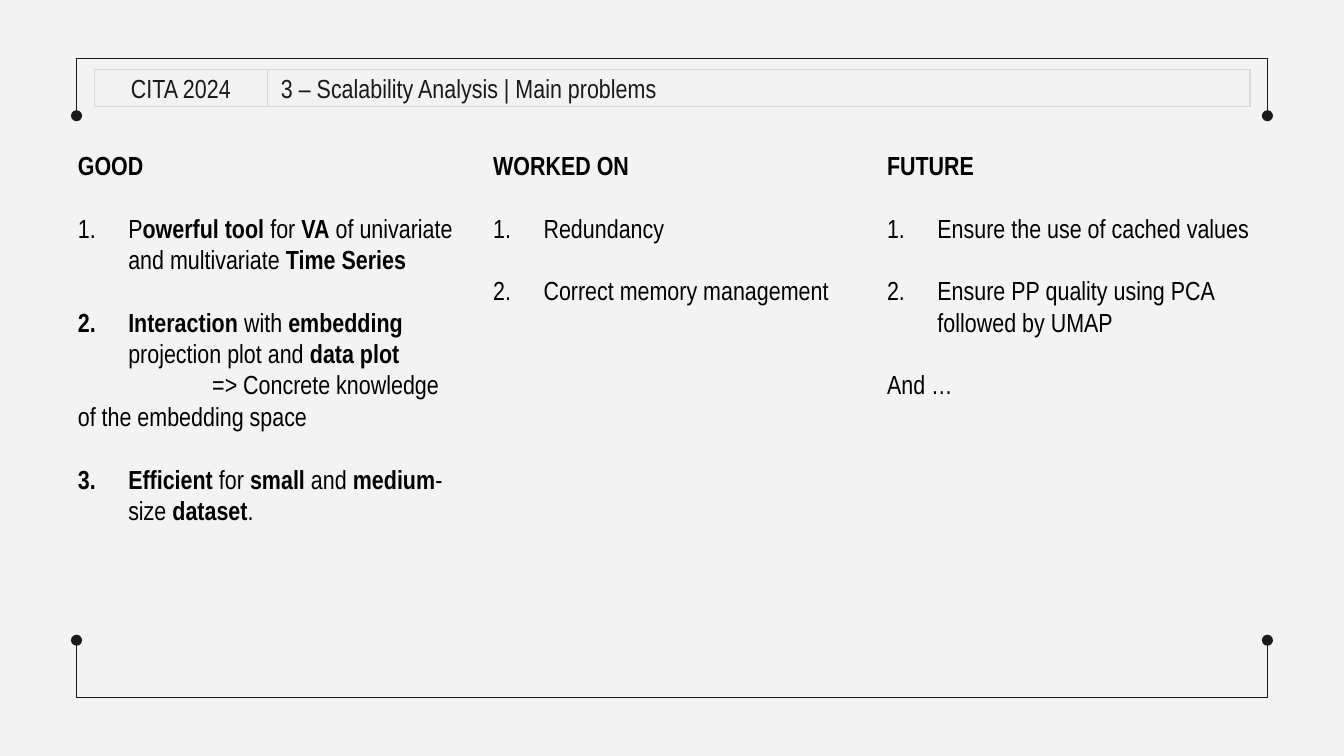
"""Build the scalability analysis slide with its three columns of problems."""
from lxml.etree import SubElement
from pptx import Presentation
from pptx.dml.color import RGBColor
from pptx.enum.shapes import MSO_CONNECTOR, MSO_SHAPE
from pptx.enum.text import MSO_ANCHOR, MSO_AUTO_SIZE, PP_ALIGN
from pptx.oxml.ns import qn
from pptx.util import Pt

COLORS = {"page": "F3F3F3", "box": "F2F2F2", "edge": "D9D9D9",
          "dark": "191919", "text": "000000"}
COLUMNS = [
    (34.5, 227, "GOOD", [
        ("1", "P*owerful tool* for *VA* of univariate and multivariate *Time Series*"),
        ("2", "*Interaction* with *embedding* projection plot and *data plot*"),
        ("indent", "=> Concrete knowledge\vof the embedding space"),
        ("3", "*Efficient* for *small* and *medium*-size *dataset*."),
    ]),
    (257, 92, "WORKED ON", [
        ("1", "Redundancy"),
        ("2", "Correct memory management"),
    ]),
    (468, 160, "FUTURE", [
        ("1", "Ensure the use of cached values"),
        ("2", "Ensure PP quality using PCA followed by UMAP"),
        ("plain", "And …"),
    ]),
]


class SlideBuilder:
    """Holds the style and the current slide."""

    font_name = "Arial Narrow"
    font_size = Pt(14)
    line_height = 16.8
    hanging = 27

    def __init__(self, page):
        self.page = page
        self.paint(page.background.fill, "page")

    def paint(self, fill, color):
        fill.solid()
        fill.fore_color.rgb = RGBColor.from_string(COLORS[color])

    def style(self, paragraph, color):
        for span in paragraph.runs:
            span.font.name = self.font_name
            span.font.size = self.font_size
            span.font.color.rgb = RGBColor.from_string(COLORS[color])

    def place(self, box, left, top, width, height):
        box.left, box.top, box.width, box.height = map(Pt, (left, top, width, height))

    def line(self, start, end, dot=False):
        connector = self.page.shapes.add_connector(
            MSO_CONNECTOR.STRAIGHT, *map(Pt, (*start, *end)))
        connector.line.width = Pt(0.75)
        self.paint(connector.line.fill, "dark")
        if dot:
            SubElement(connector.line._get_or_add_ln(), qn("a:tailEnd"), type="oval")
        SubElement(connector._element.spPr, qn("a:effectLst"))

    def bracket(self, left, right, edge, tip):
        self.line((left, edge), (right, edge))
        for side in (left, right):
            self.line((side, edge), (side, tip), dot=True)

    def header_cell(self, box, text, align):
        self.paint(box.fill, "box")
        self.paint(box.line.fill, "edge")
        box.line.width = Pt(0.75)
        frame = box.text_frame
        frame.text = text
        frame.word_wrap = True
        frame.auto_size = MSO_AUTO_SIZE.NONE
        frame.vertical_anchor = MSO_ANCHOR.MIDDLE
        frame.margin_top = frame.margin_bottom = 0
        frame.paragraphs[0].alignment = align
        self.style(frame.paragraphs[0], "dark")

    def header(self, label, title):
        left, top, split, right, height = 50.5, 37.2, 143.3, 669.6, 19.8
        tag = self.page.shapes.add_shape(
            MSO_SHAPE.RECTANGLE, *map(Pt, (left, top, split - left, height)))
        tag.shadow.inherit = False
        self.header_cell(tag, label, PP_ALIGN.CENTER)
        heading = self.page.shapes.title
        self.place(heading, split, top, right - split, height)
        self.header_cell(heading, title, PP_ALIGN.LEFT)

    def paragraph(self, paragraph, kind, text, space):
        properties = paragraph._p.get_or_add_pPr()
        numbered = kind.isdigit()
        margin = self.hanging if numbered else 0
        first_line = {"indent": 72, "plain": 0}.get(kind, -self.hanging)
        properties.set("marL", str(Pt(margin)))
        properties.set("indent", str(Pt(first_line)))
        if numbered:
            SubElement(properties, qn("a:buFont"), typeface=self.font_name)
            SubElement(properties, qn("a:buAutoNum"), type="arabicPeriod", startAt=kind)
        else:
            SubElement(properties, qn("a:buNone"))
        paragraph.alignment = PP_ALIGN.LEFT
        paragraph.space_before = Pt(space)
        if "*" in text:
            for number, part in enumerate(text.split("*")):
                if part:
                    span = paragraph.add_run()
                    span.text = part
                    span.font.bold = number % 2 == 1
        else:
            paragraph.text = text
            for span in paragraph.runs:
                span.font.bold = False
        self.style(paragraph, "text")

    def column(self, index, left, height, heading, items):
        box = self.page.placeholders[index]
        self.place(box, left, 76.3, 218, height)
        frame = box.text_frame
        frame.word_wrap = True
        frame.auto_size = MSO_AUTO_SIZE.NONE
        frame.vertical_anchor = MSO_ANCHOR.TOP
        self.paragraph(frame.paragraphs[0], "plain", f"*{heading}*", 0)
        for kind, text in items:
            space = 0 if kind == "indent" else self.line_height
            self.paragraph(frame.add_paragraph(), kind, text, space)


def main():
    deck = Presentation()
    deck.slide_width, deck.slide_height = Pt(720), Pt(405)
    comparison = deck.slide_layouts.get_by_name("Comparison")
    builder = SlideBuilder(deck.slides.add_slide(comparison))
    builder.bracket(41, 679, 31.3, 62)
    builder.bracket(41, 679, 373.7, 343)
    builder.header("CITA 2024", "3 – Scalability Analysis | Main problems")
    for index, column in enumerate(COLUMNS, start=1):
        builder.column(index, *column)
    spare = builder.page.placeholders[4]._element
    spare.getparent().remove(spare)
    deck.save("out.pptx")


if __name__ == "__main__":
    main()
